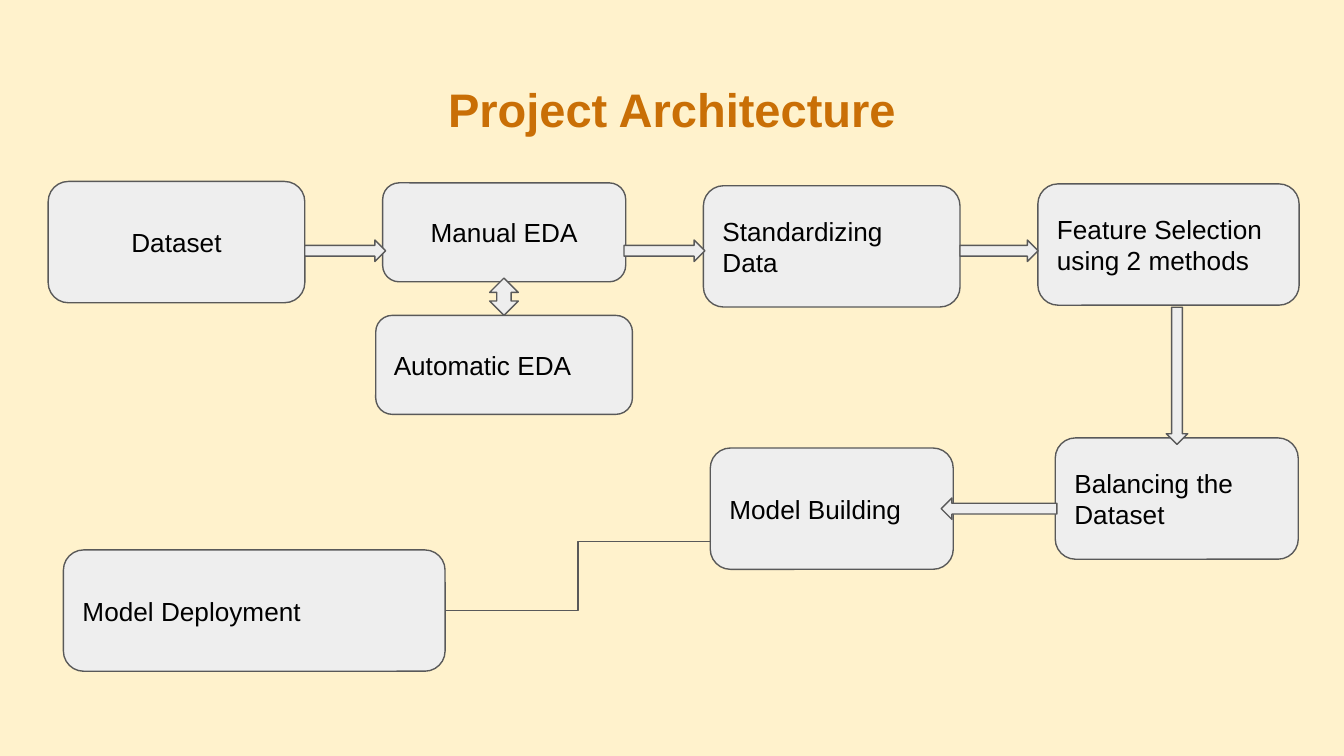
import pptx
import pptx.util
import pptx.dml.color
import pptx.enum.shapes
import pptx.enum.text
import pptx.oxml.ns
import lxml.etree
import dataclasses

Pt = pptx.util.Pt
Kind = pptx.enum.shapes.MSO_SHAPE
Align = pptx.enum.text.PP_ALIGN
Anchor = pptx.enum.text.MSO_ANCHOR
Color = pptx.dml.color.RGBColor.from_string


@dataclasses.dataclass(frozen=True)
class Theme:
    back: str = "FFF2CC"
    title: str = "C96F06"
    fill: str = "EEEEEE"
    edge: str = "595959"
    text: str = "000000"
    font: str = "Arial"
    head: float = 25.2
    body: float = 14
    line: float = 0.75
    inset: float = 7.2


theme = Theme()


def write(shape, text, size, color, align, anchor, bold=False):
    frame = shape.text_frame
    frame.word_wrap = True
    frame.auto_size = pptx.enum.text.MSO_AUTO_SIZE.NONE
    frame.vertical_anchor = anchor
    frame.margin_left = frame.margin_right = Pt(theme.inset)
    frame.margin_top = frame.margin_bottom = Pt(theme.inset)
    par = frame.paragraphs[0]
    par.alignment = align
    run = par.add_run()
    run.text = text
    run.font.name = theme.font
    run.font.size = Pt(size)
    run.font.bold = bold
    run.font.color.rgb = Color(color)


def draw(kind, left, top, width, height):
    shape = slide.shapes.add_shape(kind, Pt(left), Pt(top), Pt(width), Pt(height))
    shape.shadow.inherit = False
    shape.fill.solid()
    shape.fill.fore_color.rgb = Color(theme.fill)
    shape.line.color.rgb = Color(theme.edge)
    shape.line.width = Pt(theme.line)
    return shape


deck = pptx.Presentation()
deck.slide_width, deck.slide_height = Pt(720), Pt(405)
slide = deck.slides.add_slide(deck.slide_layouts[5])
slide.background.fill.solid()
slide.background.fill.fore_color.rgb = Color(theme.back)

title = slide.shapes.title
title.left, title.top, title.width, title.height = Pt(24.5), Pt(35.3), Pt(671), Pt(45.4)
write(title, "Project Architecture", theme.head, theme.title,
      Align.CENTER, Anchor.BOTTOM, bold=True)

# Process steps: text, left, top, width, height, alignment
steps = [
    ("Dataset", 25.8, 97.2, 137.5, 65, Align.CENTER),
    ("Manual EDA", 205, 98, 130.2, 53, Align.CENTER),
    ("Standardizing Data", 376.8, 99.5, 137.5, 65, Align.LEFT),
    ("Feature Selection using 2 methods", 556, 98.5, 140, 65, Align.LEFT),
    ("Balancing the Dataset", 565.3, 234.6, 130.2, 65, Align.LEFT),
    ("Model Building", 380.5, 240, 130.2, 65, Align.LEFT),
    ("Automatic EDA", 201.3, 169, 137.5, 53, Align.LEFT),
    ("Model Deployment", 34, 294.6, 204.5, 65, Align.LEFT),
]
for text, left, top, width, height, align in steps:
    box = draw(Kind.ROUNDED_RECTANGLE, left, top, width, height)
    write(box, text, theme.body, theme.text, align, Anchor.MIDDLE)

thick = 11.5
row = 128.6
arrows = [
    (Kind.RIGHT_ARROW, 163.3, row, 43.3, thick),
    (Kind.RIGHT_ARROW, 334.3, row, 43.3, thick),
    (Kind.RIGHT_ARROW, 514.3, row, 41.8, thick),
    (Kind.DOWN_ARROW, 624.8, 164.6, thick, 73.5),
    (Kind.LEFT_ARROW, 504.2, 266.8, 62, thick),
    (Kind.UP_DOWN_ARROW, 262.3, 149, 15.4, 20),
]
for arrow in arrows:
    draw(*arrow)

link = slide.shapes.add_connector(
    pptx.enum.shapes.MSO_CONNECTOR.ELBOW, Pt(381), Pt(290), Pt(238.5), Pt(327))
link.line.color.rgb = Color(theme.edge)
link.line.width = Pt(theme.line)
lxml.etree.SubElement(link._element.spPr, pptx.oxml.ns.qn("a:effectLst"))

deck.save("out.pptx")
